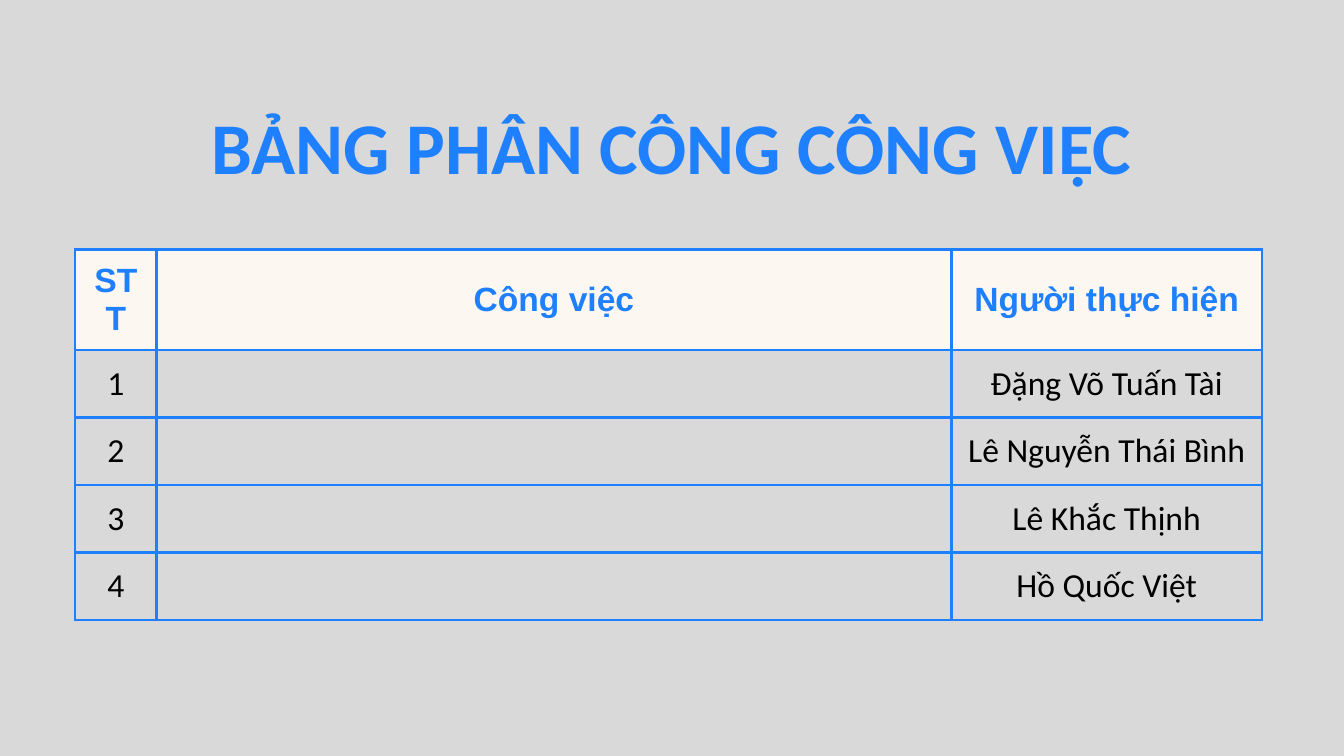
from lxml.etree import SubElement
from pptx import Presentation
from pptx.dml.color import RGBColor
from pptx.enum.text import MSO_ANCHOR, PP_ALIGN
from pptx.oxml.ns import qn
from pptx.util import Pt

# Content
TITLE = "BẢNG PHÂN CÔNG CÔNG VIỆC"
HEADER = ("STT", "Công việc", "Người thực hiện")
PEOPLE = ("Đặng Võ Tuấn Tài", "Lê Nguyễn Thái Bình", "Lê Khắc Thịnh", "Hồ Quốc Việt")
ROWS = [HEADER] + [(str(n), "", name) for n, name in enumerate(PEOPLE, 1)]

# Layout and formats, lengths in points
LEFT = 80.6
TITLE_BOX = (LEFT, 109.4, 1278, 95)
TABLE_TOP = 267.2
COL_WIDTHS = (87.1, 851.8, 332.6)
ROW_HEIGHT = 72.3
BLUE, CREAM, GRAY, BLACK = "1F80FF", "FCF8F1", "D9D9D9", "000000"
TITLE_FONT = {"name": "Calibri", "size": Pt(78), "bold": True}
HEADER_FONT = {"name": "Arial", "size": Pt(36), "bold": True}
BODY_FONT = {"name": "Calibri", "size": Pt(36), "bold": False}
NO_INSET = dict.fromkeys(("margin_left", "margin_top", "margin_right", "margin_bottom"), 0)
CELL_FORMAT = {**dict.fromkeys(NO_INSET, Pt(13.7)), "vertical_anchor": MSO_ANCHOR.MIDDLE}


def rgb(value):
    return RGBColor.from_string(value)


def set_attrs(obj, values):
    for key, value in values.items():
        setattr(obj, key, value)


def write(tf, text, font, color):
    p = tf.paragraphs[0]
    p.alignment = PP_ALIGN.CENTER
    if text:
        r = p.add_run()
        r.text = text
        set_attrs(r.font, font)
        r.font.color.rgb = rgb(color)
    return p


def add_borders(cell, color, width):
    tc_pr = cell._tc.get_or_add_tcPr()
    for i, side in enumerate(("lnL", "lnR", "lnT", "lnB")):
        ln = tc_pr.makeelement(qn(f"a:{side}"), {"w": str(Pt(width))})
        tc_pr.insert(i, ln)
        fill = SubElement(ln, qn("a:solidFill"))
        SubElement(fill, qn("a:srgbClr"), val=color)


prs = Presentation()
prs.slide_width, prs.slide_height = Pt(1440), Pt(810)
s = prs.slides.add_slide(prs.slide_layouts[5])
s.background.fill.solid()
s.background.fill.fore_color.rgb = rgb(GRAY)

# Title
title = s.shapes.title
set_attrs(title, dict(zip(("left", "top", "width", "height"), map(Pt, TITLE_BOX))))
tf = title.text_frame
set_attrs(tf, {**NO_INSET, "vertical_anchor": MSO_ANCHOR.TOP, "word_wrap": True})
write(tf, TITLE, TITLE_FONT, BLUE).line_spacing = Pt(93.6)

# Task table
table = s.shapes.add_table(
    len(ROWS), len(HEADER), Pt(LEFT), Pt(TABLE_TOP),
    Pt(sum(COL_WIDTHS)), Pt(ROW_HEIGHT * len(ROWS))).table
table.horz_banding = False
for col, width in zip(table.columns, COL_WIDTHS):
    col.width = Pt(width)
for i, (row, texts) in enumerate(zip(table.rows, ROWS)):
    row.height = Pt(ROW_HEIGHT)
    font, color = (BODY_FONT, BLACK) if i else (HEADER_FONT, BLUE)
    for cell, text in zip(row.cells, texts):
        set_attrs(cell, CELL_FORMAT)
        if i:
            cell.fill.background()
        else:
            cell.fill.solid()
            cell.fill.fore_color.rgb = rgb(CREAM)
        write(cell.text_frame, text, font, color)
        add_borders(cell, BLUE, 3)

prs.save("out.pptx")
